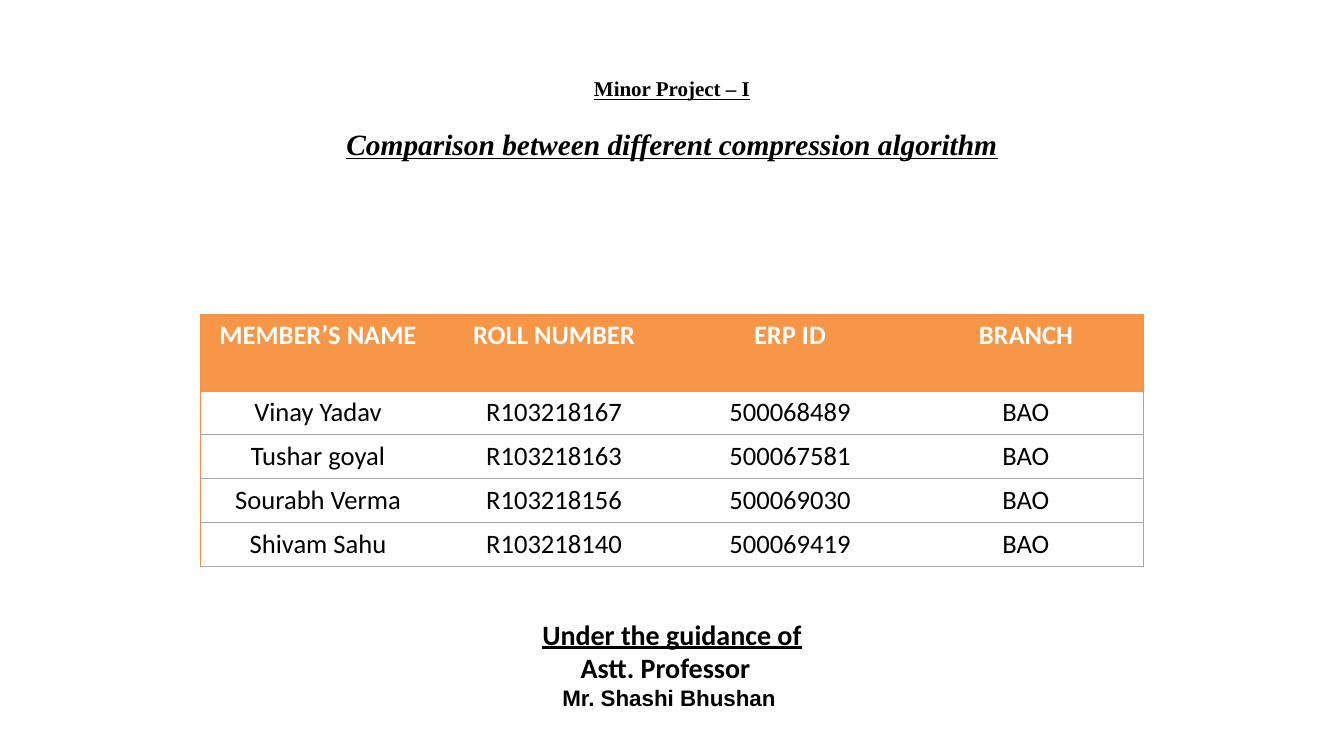
"""Builds the title slide of a minor project with its team table."""
import pptx
import pptx.dml.color
import pptx.enum.text
import pptx.oxml
import pptx.oxml.ns
import pptx.util

EMU_PER_PX = 914400 / 100.8
BLACK = pptx.dml.color.RGBColor(0, 0, 0)
WHITE = pptx.dml.color.RGBColor(255, 255, 255)
ORANGE = pptx.dml.color.RGBColor(0xF7, 0x96, 0x46)
EDGE_ORANGE = pptx.dml.color.RGBColor(0xF6, 0x92, 0x40)
RULE_GRAY = pptx.dml.color.RGBColor(0xA6, 0xA6, 0xA6)
INSET = 5
COLUMN_WIDTH = 236
HEADER_HEIGHT = 77
MEMBER_HEIGHT = 44

HEADINGS = ("MEMBER’S NAME", "ROLL NUMBER", "ERP ID", "BRANCH")
MEMBERS = (
    ("Vinay Yadav", "R103218167", "500068489", "BAO"),
    ("Tushar goyal", "R103218163", "500067581", "BAO"),
    ("Sourabh Verma", "R103218156", "500069030", "BAO"),
    ("Shivam Sahu", "R103218140", "500069419", "BAO"),
)


def px(length):
    """Turn whole pixels into EMU."""
    return pptx.util.Emu(round(length * EMU_PER_PX))


def set_insets(holder):
    """Give a text frame or a cell the same inset on all sides."""
    holder.margin_left = holder.margin_right = px(INSET)
    holder.margin_top = holder.margin_bottom = px(INSET)


def write_line(paragraph, text, size, face="Calibri", color=BLACK,
               bold=True, italic=False, underline=False):
    """Fill a centred paragraph with one formatted run."""
    paragraph.alignment = pptx.enum.text.PP_ALIGN.CENTER
    run = paragraph.add_run()
    run.text = text
    font = run.font
    font.name, font.size = face, pptx.util.Pt(size)
    font.bold, font.italic, font.underline = bold, italic, underline
    font.color.rgb = color


def add_text_frame(slide, left, top, width, height):
    """Add an empty wrapping text box and return its frame."""
    frame = slide.shapes.add_textbox(
        px(left), px(top), px(width), px(height)).text_frame
    frame.word_wrap = True
    set_insets(frame)
    return frame


def add_title(slide):
    """Add the project label and its subject."""
    frame = add_text_frame(slide, 0, 71, 1344, 95)
    write_line(frame.paragraphs[0], "Minor Project – I", 15,
               face="Times New Roman", underline=True)
    subject = frame.add_paragraph()
    subject.space_before = pptx.util.Pt(17.5)
    write_line(subject, "Comparison between different compression algorithm", 21,
               face="Times New Roman", italic=True, underline=True)


def set_borders(cell, edges):
    """Draw the coloured edges of a cell and leave out those that are None."""
    properties = cell._tc.get_or_add_tcPr()
    for position, (side, color) in enumerate(edges.items()):
        paint = (f'<a:solidFill><a:srgbClr val="{color}"/></a:solidFill>'
                 if color else "<a:noFill/>")
        properties.insert(position, pptx.oxml.parse_xml(
            f'<a:{side} {pptx.oxml.ns.nsdecls("a")} w="9525">{paint}</a:{side}>'))


def add_team_table(slide):
    """Add the table of team members."""
    rows = (HEADINGS, *MEMBERS)
    last_column = len(HEADINGS) - 1
    table = slide.shapes.add_table(
        len(rows), len(HEADINGS), px(200), px(314),
        px(COLUMN_WIDTH * len(HEADINGS)),
        px(HEADER_HEIGHT + MEMBER_HEIGHT * len(MEMBERS))).table
    table.horz_banding = False
    for column in table.columns:
        column.width = px(COLUMN_WIDTH)
    for row_index, values in enumerate(rows):
        is_header = row_index == 0
        table.rows[row_index].height = px(HEADER_HEIGHT if is_header else MEMBER_HEIGHT)
        for column_index, value in enumerate(values):
            cell = table.cell(row_index, column_index)
            set_insets(cell)
            write_line(cell.text_frame.paragraphs[0], value, 19, bold=is_header,
                       color=WHITE if is_header else BLACK)
            if is_header:
                cell.fill.solid()
                cell.fill.fore_color.rgb = ORANGE
            else:
                cell.fill.background()
            outer = EDGE_ORANGE if is_header else RULE_GRAY
            set_borders(cell, {
                "lnL": EDGE_ORANGE if column_index == 0 else None,
                "lnR": outer if column_index == last_column else None,
                "lnT": EDGE_ORANGE if row_index <= 1 else RULE_GRAY,
                "lnB": outer,
            })


def add_guidance(slide):
    """Add the name of the guiding professor."""
    frame = add_text_frame(slide, 341, 612, 662, 104)
    write_line(frame.paragraphs[0], "Under the guidance of", 20, underline=True)
    for text, size, face, right_margin in (
            ("Astt. Professor", 20, "Calibri", 13),
            ("Mr. Shashi Bhushan", 16, "Arial", 6)):
        paragraph = frame.add_paragraph()
        paragraph._p.get_or_add_pPr().set("marR", str(px(right_margin)))
        write_line(paragraph, text, size, face=face)


def main():
    """Build and save the slide."""
    deck = pptx.Presentation()
    deck.slide_width, deck.slide_height = px(1344), px(756)
    slide = deck.slides.add_slide(deck.slide_layouts[6])
    add_title(slide)
    add_team_table(slide)
    add_guidance(slide)
    deck.save("out.pptx")


if __name__ == "__main__":
    main()
